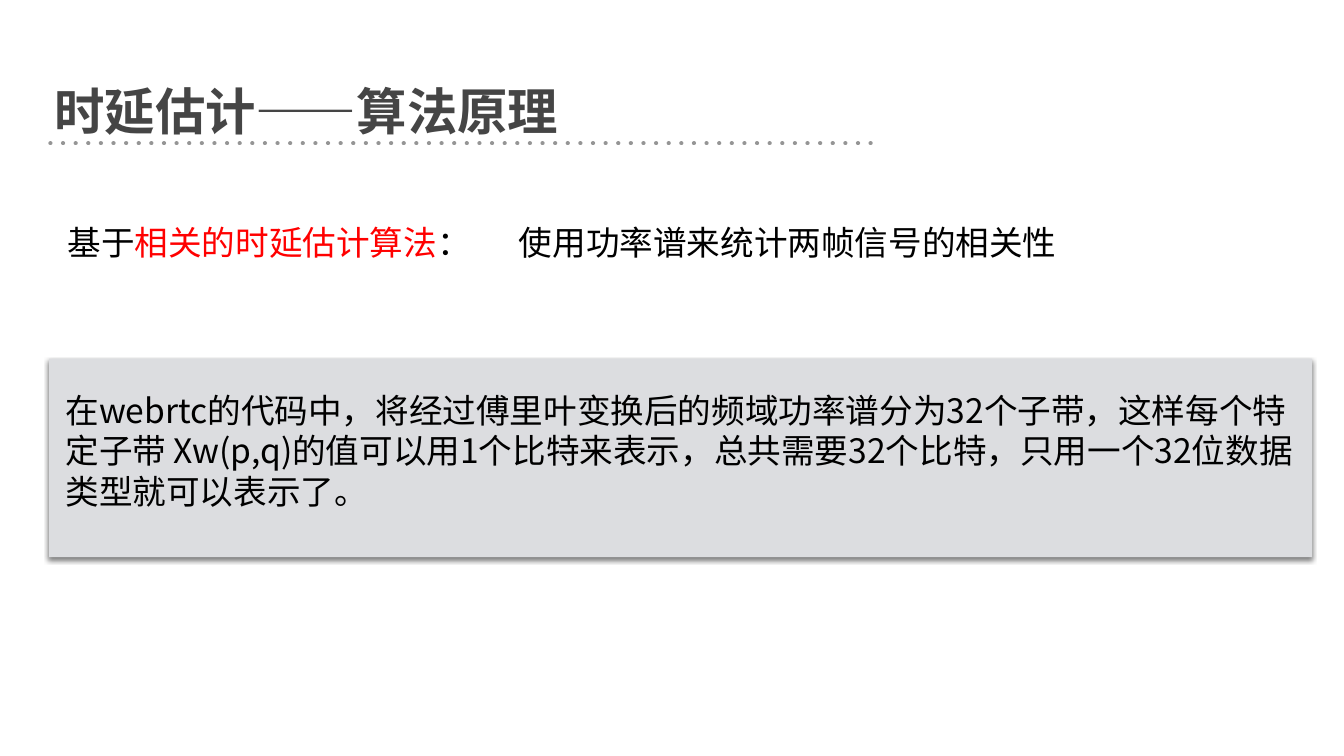
from dataclasses import dataclass

from lxml import etree
from pptx import Presentation
from pptx.dml.color import RGBColor
from pptx.enum.shapes import MSO_CONNECTOR, MSO_SHAPE
from pptx.enum.text import MSO_ANCHOR, MSO_AUTO_SIZE, PP_ALIGN
from pptx.oxml.ns import qn
from pptx.slide import Slide
from pptx.util import Cm, Pt

RECT = MSO_SHAPE.RECTANGLE
STRAIGHT = MSO_CONNECTOR.STRAIGHT
TOP, MIDDLE = MSO_ANCHOR.TOP, MSO_ANCHOR.MIDDLE
GROW = MSO_AUTO_SIZE.SHAPE_TO_FIT_TEXT
LEFT, CENTER, JUSTIFY = PP_ALIGN.LEFT, PP_ALIGN.CENTER, PP_ALIGN.JUSTIFY

FONT = "Noto Sans CJK SC"
BLACK, RED, DARK = "000000", "FF0000", "454545"
GREY, PALE = "959595", "DCDDE0"


@dataclass
class Run:
    text: str
    color: str = BLACK


@dataclass
class Label:
    """A text box, with its place and size in centimetres."""
    left: float
    top: float
    width: float
    height: float
    runs: list[Run]
    align: PP_ALIGN = LEFT
    anchor: MSO_ANCHOR = TOP
    wrap: bool = True
    size: int = 24
    bold: bool = False
    inset: tuple[float, float] = (0.25, 0.13)
    spacing: float = 1.0


LABELS = [
    Label(1.27, 1.14, 17.42, 2.51, [Run("时延估计——算法原理", DARK)],
          align=JUSTIFY, anchor=MIDDLE, size=36, bold=True,
          inset=(0.1, 0.1), spacing=1.5),
    Label(1.4, 5.46, 10.77, 1.27,
          [Run("基于"), Run("相关的时延估计算法", RED), Run("：")],
          align=CENTER, wrap=False),
    Label(12.75, 5.46, 14.2, 1.27, [Run("使用功率谱来统计两帧信号的相关性")],
          align=CENTER, wrap=False),
    Label(1.4, 9.7, 31.45, 3.33,
          [Run("在webrtc的代码中，将经过傅里叶变换后的频域功率谱分为32个子带，"
               "这样每个特定子带 Xw(p,q)的值可以用1个比特来表示，"
               "总共需要32个比特，只用一个32位数据类型就可以表示了。")]),
]


def rgb(code: str) -> RGBColor:
    return RGBColor.from_string(code)


def add_node(parent, tag: str, **attrs):
    node = etree.SubElement(parent, qn(tag))
    for name, value in attrs.items():
        node.set(name, str(value))
    return node


def draw_panel(slide: Slide) -> None:
    panel = slide.shapes.add_shape(RECT, Cm(1.24), Cm(9.04), Cm(31.83), Cm(5))
    panel.fill.solid()
    panel.fill.fore_color.rgb = rgb(PALE)
    panel.line.fill.background()
    panel.shadow.inherit = False
    effects = panel.element.spPr.find(qn("a:effectLst"))
    shade = add_node(effects, "a:outerShdw", blurRad=Pt(3), dist=Pt(2),
                     dir=90 * 60000, rotWithShape=0)
    tint = add_node(shade, "a:srgbClr", val=BLACK)
    add_node(tint, "a:alpha", val=50000)


def draw_rule(slide: Slide) -> None:
    """Draw the line of round dots under the title."""
    rule = slide.shapes.add_connector(STRAIGHT, Cm(1.27), Cm(3.61),
                                      Cm(22.2), Cm(3.61))
    rule.line.width = Pt(3)
    rule.line.color.rgb = rgb(GREY)
    props = rule.element.spPr
    line = props.find(qn("a:ln"))
    line.set("cap", "rnd")
    dash = add_node(line, "a:custDash")
    add_node(dash, "a:ds", d=100000, sp=200000)
    add_node(line, "a:round")
    add_node(props, "a:effectLst")


def draw_label(slide: Slide, label: Label) -> None:
    box = slide.shapes.add_textbox(Cm(label.left), Cm(label.top),
                                   Cm(label.width), Cm(label.height))
    frame = box.text_frame
    frame.word_wrap = label.wrap
    frame.auto_size = GROW
    frame.vertical_anchor = label.anchor
    side, edge = label.inset
    frame.margin_left = frame.margin_right = Cm(side)
    frame.margin_top = frame.margin_bottom = Cm(edge)
    para = frame.paragraphs[0]
    para.alignment = label.align
    para.line_spacing = label.spacing
    for part in label.runs:
        run = para.add_run()
        run.text = part.text
        font = run.font
        font.name = FONT
        font.size = Pt(label.size)
        font.bold = label.bold
        font.color.rgb = rgb(part.color)
        add_node(run.font._element, "a:ea", typeface=FONT)


def main() -> None:
    deck = Presentation()
    deck.slide_width, deck.slide_height = Cm(33.87), Cm(19.05)
    slide = deck.slides.add_slide(deck.slide_layouts[6])
    draw_panel(slide)
    draw_rule(slide)
    for label in LABELS:
        draw_label(slide, label)
    deck.save("out.pptx")


if __name__ == "__main__":
    main()
